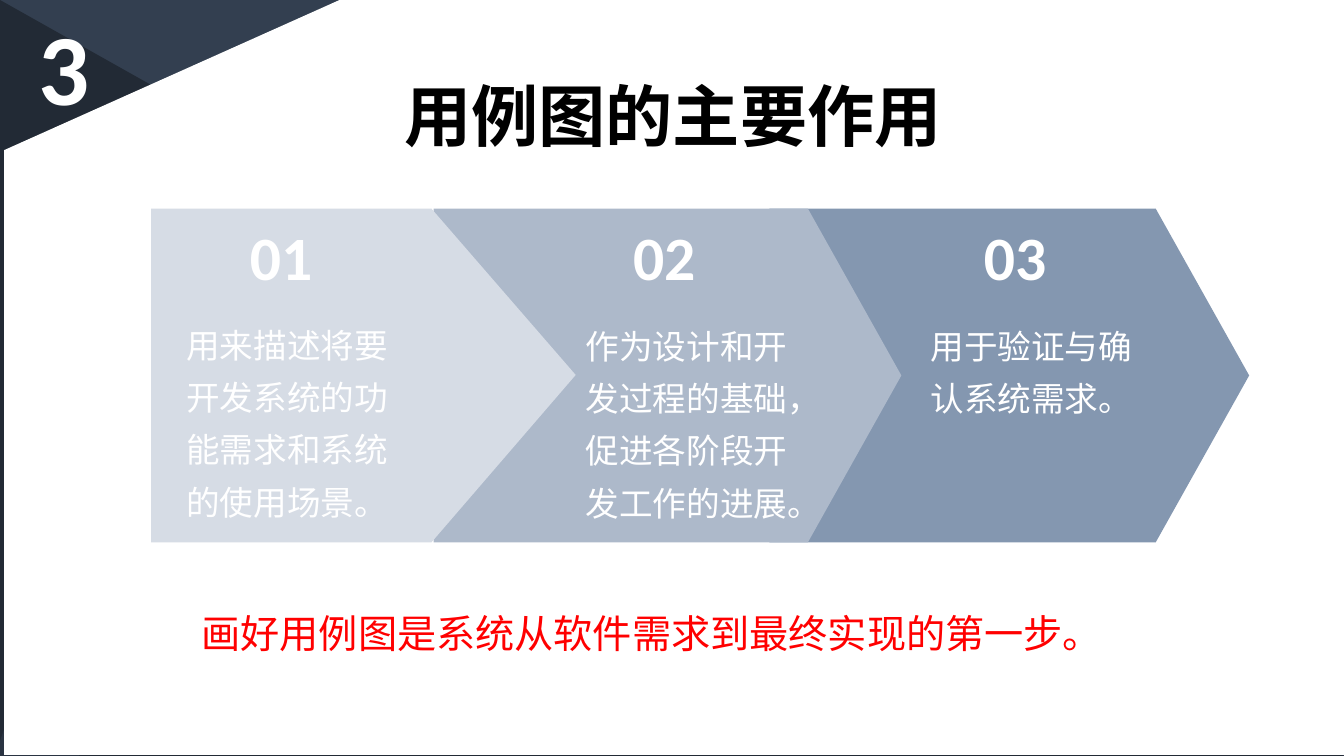
from lxml import etree
from pptx import Presentation
from pptx.dml.color import RGBColor
from pptx.enum import shapes, text
from pptx.oxml import ns
from pptx.util import Inches, Pt

NAVY = RGBColor(0x22, 0x2A, 0x35)
SLATE = RGBColor(0x33, 0x3F, 0x50)
WHITE = RGBColor(0xFF, 0xFF, 0xFF)
BLACK = RGBColor(0, 0, 0)
RED = RGBColor(0xFF, 0, 0)
PALE = RGBColor(0xD6, 0xDC, 0xE5)
MIDDLE = RGBColor(0xAD, 0xB9, 0xCA)
STEEL = RGBColor(0x84, 0x97, 0xB0)
LATIN, CHINESE = "Calibri", "Noto Sans CJK SC"
KIND = shapes.MSO_SHAPE

deck = Presentation()
deck.slide_width, deck.slide_height = Inches(13.33), Inches(7.5)
page = deck.slides.add_slide(deck.slide_layouts[6])
page.background.fill.solid()
page.background.fill.fore_color.rgb = SLATE


def paint(shape, color, alpha=100):
    shape.shadow.inherit = False
    shape.fill.solid()
    shape.fill.fore_color.rgb = color
    shape.line.fill.background()
    if alpha < 100:
        tint = shape.fill._xPr.find(".//" + ns.qn("a:srgbClr"))
        etree.SubElement(tint, ns.qn("a:alpha"), val=str(alpha * 1000))


def write(place, words, size, color, bold=False, font=LATIN, spacing=None):
    box = page.shapes.add_textbox(*map(Inches, place))
    box.text_frame.word_wrap = True
    box.text_frame.auto_size = text.MSO_AUTO_SIZE.SHAPE_TO_FIT_TEXT
    para = box.text_frame.paragraphs[0]
    para.line_spacing = spacing
    span = para.add_run()
    span.text = words
    span.font.color.rgb = color
    style = {"size": Pt(size), "bold": bold, "name": font}
    for name, value in style.items():
        setattr(span.font, name, value)
    etree.SubElement(span.font._element, ns.qn("a:ea"), typeface=CHINESE)


# Backdrop facets, white page area and the two rear arrows, back to front
panels = [
    (KIND.ISOSCELES_TRIANGLE, (0, 0, 13.33, 7.5), 0, 0, NAVY, 100),
    (KIND.PARALLELOGRAM, (-0.71, 1.68, 14.74, 4.13), 346.3, None, NAVY, 50),
    (KIND.ISOSCELES_TRIANGLE, (1.18, -1.16, 5.41, 11.12), 199.1, 1, SLATE, 50),
    (KIND.RECTANGLE, (3.39, -0.01, 9.98, 7.5), 0, None, WHITE, 100),
    (KIND.FLOWCHART_MANUAL_INPUT, (0.04, -0.01, 3.35, 7.5), 0, None, WHITE, 100),
    (KIND.PENTAGON, (7.63, 2.07, 4.76, 3.31), 0, 0.28, STEEL, 100),
    (KIND.PENTAGON, (4.3, 2.07, 4.64, 3.31), 0, 0.28, MIDDLE, 100),
]
for kind, place, turn, adjust, color, alpha in panels:
    panel = page.shapes.add_shape(kind, *map(Inches, place))
    panel.rotation = turn
    if adjust is not None:
        panel.adjustments[0] = adjust
    paint(panel, color, alpha)

# Front arrow with a longer tip
outline = [(5.71, 3.72), (4.28, 5.38), (1.5, 5.38), (1.5, 2.07), (4.28, 2.07)]
corners = [(Inches(x), Inches(y)) for x, y in outline]
builder = page.shapes.build_freeform(*corners[0])
builder.add_line_segments(corners[1:], close=True)
paint(builder.convert_to_shape(), PALE)

# Section number, title and closing line
write((0.28, 0, 0.75, 1.31), "3", 72, WHITE, bold=True)
write((3.91, 0.69, 7.52, 0.91), "用例图的主要作用", 48, BLACK, bold=True)
write((1.9, 6, 10.07, 0.57), "画好用例图是系统从软件需求到最终实现的第一步。", 28, RED)

# Numbered purposes on the arrows
purposes = [
    (2.38, 1.75, 3.05, 2.2, "用来描述将要开发系统的功能需求和系统的使用场景。"),
    (6.18, 5.71, 3.06, 2.2, "作为设计和开发过程的基础，促进各阶段开发工作的进展。"),
    (9.66, 9.13, 3.06, 1.15, "用于验证与确认系统需求。"),
]
for number, (number_left, left, top, height, words) in enumerate(purposes, 1):
    write((number_left, 2.12, 1.05, 0.84), f"{number:02}", 44, WHITE, bold=True)
    write((left, top, 2.3, height), words, 24, WHITE, font=CHINESE, spacing=1.3)

deck.save("out.pptx")
